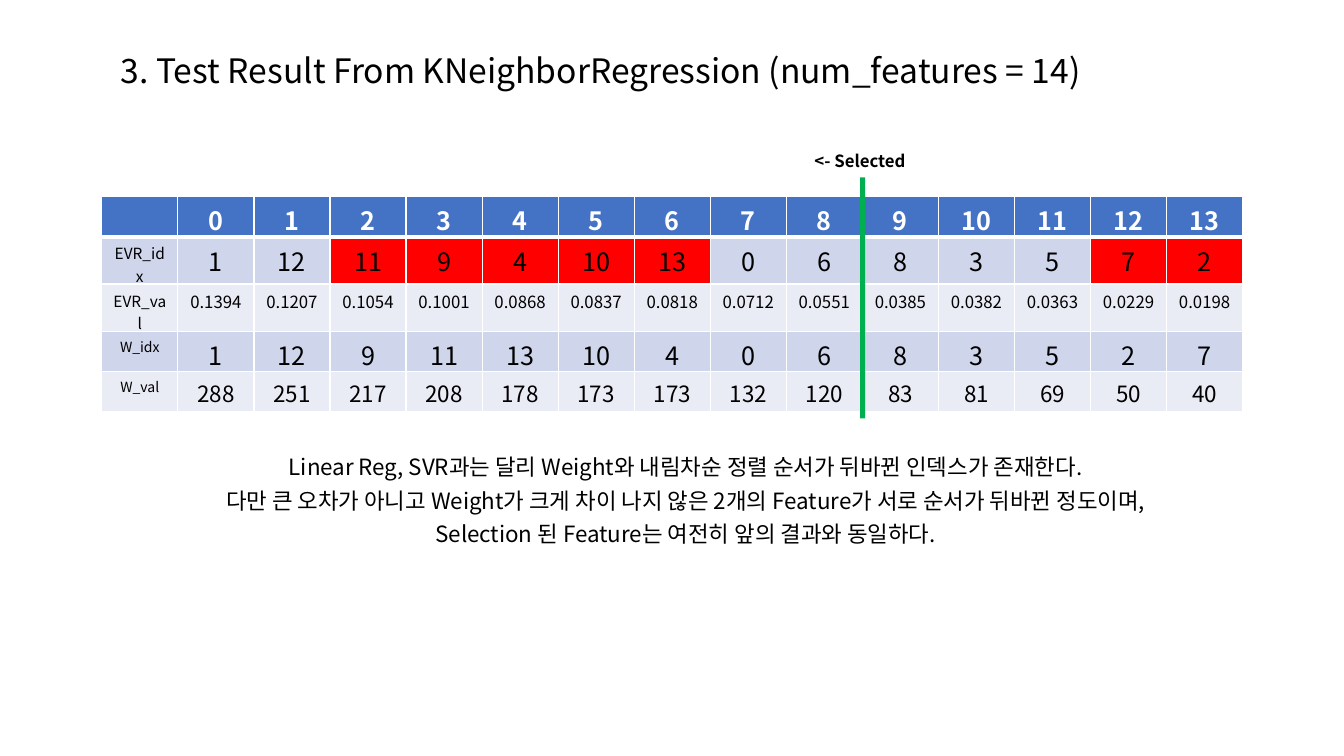
from dataclasses import dataclass
from typing import Any

from lxml.etree import SubElement
from pptx import Presentation
from pptx.dml.color import RGBColor
from pptx.enum.shapes import MSO_SHAPE
from pptx.enum.text import PP_ALIGN
from pptx.oxml.ns import qn
from pptx.util import Inches, Pt


@dataclass(frozen=True)
class Theme:
    """Font, colours and type sizes of the slide."""
    font: str = "Noto Sans CJK KR"
    ink: str = "000000"
    paper: str = "FFFFFF"
    header: str = "4472C4"
    bands: tuple[str, str] = ("CFD5EA", "E9EBF5")
    swapped: str = "FF0000"
    cutoff: str = "00B050"
    title: int = 24
    comment: int = 16
    marker: int = 12
    heading: int = 18
    thin: int = 1
    thick: int = 3


@dataclass(frozen=True)
class Box:
    """A rectangle in inches."""
    left: float
    top: float
    width: float
    height: float

    def emu(self) -> tuple[int, ...]:
        """Return the four lengths for python-pptx."""
        return tuple(Inches(n) for n in (self.left, self.top, self.width, self.height))


@dataclass(frozen=True)
class Measure:
    """One table row: its label, its values and their sizes."""
    label: str
    values: str
    label_size: int
    value_size: int
    swapped: tuple[int, ...] = ()


THEME = Theme()
SLIDE_W, SLIDE_H = 13.33, 7.5
FEATURES, SELECTED = 14, 9
GRID = Box(1.01, 0.26 * SLIDE_H, 11.32, 2)
COLUMN = GRID.width / (FEATURES + 1)
CUTOFF_X = GRID.left + COLUMN * (SELECTED + 1)
TEXT_LEFT, TEXT_WIDTH = 1.1, 11.4

MEASURES = (
    Measure("EVR_idx", "1 12 11 9 4 10 13 0 6 8 3 5 7 2", 11, 18, (2, 3, 4, 5, 6, 12, 13)),
    Measure("EVR_val", "0.1394 0.1207 0.1054 0.1001 0.0868 0.0837 0.0818 "
            "0.0712 0.0551 0.0385 0.0382 0.0363 0.0229 0.0198", 11, 12),
    Measure("W_idx", "1 12 9 11 13 10 4 0 6 8 3 5 2 7", 10, 18),
    Measure("W_val", "288 251 217 208 178 173 173 132 120 83 81 69 50 40", 10, 16),
)
COMMENTS = (
    "Linear Reg, SVR과는 달리 Weight와 내림차순 정렬 순서가 뒤바뀐 인덱스가 존재한다.",
    "다만 큰 오차가 아니고 Weight가 크게 차이 나지 않은 2개의 Feature가 서로 순서가 뒤바뀐 정도이며,",
    "Selection 된 Feature는 여전히 앞의 결과와 동일하다.",
)


def apply(target: Any, formats: dict[str, Any]) -> None:
    """Set each format value on the target."""
    for name, value in formats.items():
        setattr(target, name, value)


def write(paragraph: Any, words: str, size: int, color: str = THEME.ink,
          bold: bool = False, align: PP_ALIGN = PP_ALIGN.CENTER) -> None:
    """Write one styled run into a paragraph."""
    paragraph.alignment = align
    run = paragraph.add_run()
    run.text = words
    apply(run.font, {"name": THEME.font, "size": Pt(size), "bold": bold})
    run.font.color.rgb = RGBColor.from_string(color)
    SubElement(run.font._element, qn("a:ea"), typeface=THEME.font)


def add_text(slide: Any, box: Box, lines: tuple[str, ...], size: int,
             spacing: dict[str, Any], **style: Any) -> None:
    """Add a text box with one paragraph per line."""
    frame = slide.shapes.add_textbox(*box.emu()).text_frame
    frame.word_wrap = True
    for index, words in enumerate(lines):
        paragraph = frame.add_paragraph() if index else frame.paragraphs[0]
        apply(paragraph, spacing)
        write(paragraph, words, size, **style)


def paint_cell(cell: Any, fill: str, top: int, bottom: int) -> None:
    """Give a cell its white borders and its fill."""
    properties = cell._tc.get_or_add_tcPr()
    widths = {"lnL": THEME.thin, "lnR": THEME.thin, "lnT": top, "lnB": bottom}
    for side, width in widths.items():
        border = SubElement(properties, qn(f"a:{side}"), w=str(Pt(width)))
        SubElement(SubElement(border, qn("a:solidFill")), qn("a:srgbClr"), val=THEME.paper)
    cell.fill.solid()
    cell.fill.fore_color.rgb = RGBColor.from_string(fill)


def add_results(slide: Any) -> None:
    """Add the table of feature ranks and values."""
    table = slide.shapes.add_table(len(MEASURES) + 1, FEATURES + 1, *GRID.emu()).table
    for column in table.columns:
        column.width = Inches(COLUMN)
    for position, cell in enumerate(table.rows[0].cells):
        paint_cell(cell, THEME.header, THEME.thin, THEME.thick)
        if position:
            write(cell.text_frame.paragraphs[0], str(position - 1),
                  THEME.heading, THEME.paper, bold=True)
    for index, measure in enumerate(MEASURES):
        top = THEME.thin if index else THEME.thick
        entries = (measure.label, *measure.values.split())
        for position, words in enumerate(entries):
            cell = table.cell(index + 1, position)
            is_swapped = position - 1 in measure.swapped
            paint_cell(cell, THEME.swapped if is_swapped else THEME.bands[index % 2],
                       top, THEME.thin)
            size = measure.value_size if position else measure.label_size
            write(cell.text_frame.paragraphs[0], words, size)


def add_cutoff(slide: Any) -> None:
    """Add the bar after the last selected feature, with its label."""
    width = 0.05
    area = Box(CUTOFF_X - width / 2, 1.76, width, 2.39)
    bar = slide.shapes.add_shape(MSO_SHAPE.RECTANGLE, *area.emu())
    bar.shadow.inherit = False
    bar.fill.solid()
    bar.fill.fore_color.rgb = RGBColor.from_string(THEME.cutoff)
    bar.line.fill.background()
    add_text(slide, Box(7.85, 1.45, 1.36, 0.3), ("<- Selected",), THEME.marker, {}, bold=True)


def main() -> None:
    """Build and save the slide."""
    deck = Presentation()
    apply(deck, {"slide_width": Inches(SLIDE_W), "slide_height": Inches(SLIDE_H)})
    slide = deck.slides.add_slide(deck.slide_layouts[6])
    spacing = {"line_spacing": 0.8, "space_before": Pt(8.5)}
    add_text(slide, Box(TEXT_LEFT, 0.07 * SLIDE_H, TEXT_WIDTH, 0.5),
             ("3. Test Result From KNeighborRegression (num_features = 14)",),
             THEME.title, spacing, align=PP_ALIGN.LEFT)
    add_text(slide, Box(TEXT_LEFT, 0.6 * SLIDE_H, TEXT_WIDTH, 1.2),
             COMMENTS, THEME.comment, spacing)
    add_results(slide)
    add_cutoff(slide)
    deck.save("out.pptx")


main()
